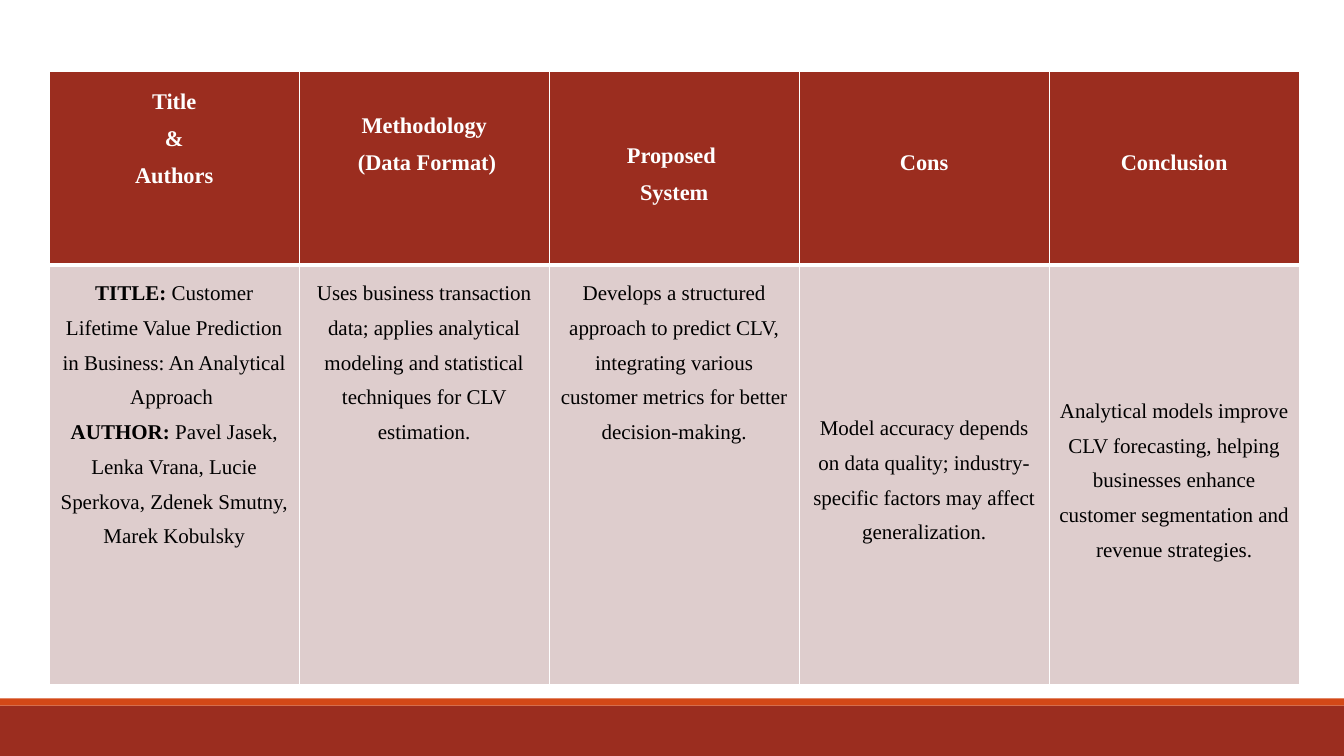
from lxml.etree import SubElement
from pptx import Presentation
from pptx.dml.color import RGBColor
from pptx.enum.shapes import MSO_SHAPE
from pptx.enum.text import MSO_ANCHOR, PP_ALIGN
from pptx.oxml.ns import qn
from pptx.util import Cm, Pt

BRICK = RGBColor(0x9B, 0x2D, 0x1F)
ORANGE = RGBColor(0xD3, 0x48, 0x17)
ROSE = RGBColor(0xDE, 0xCD, 0xCD)
WHITE = RGBColor(0xFF, 0xFF, 0xFF)
BLACK = RGBColor(0, 0, 0)

SLIDE_W, SLIDE_H = 33.87, 19.05
COLUMN_W = 6.3
ROW_HEIGHTS = (4.88, 10.57)
TOP, MIDDLE = MSO_ANCHOR.TOP, MSO_ANCHOR.MIDDLE
TOP_MARGIN = 0.13

# Each heading: lines, anchor, top margin in cm
HEADINGS = [
    (["Title", "&", "Authors"], TOP, TOP_MARGIN),
    (["Methodology", " (Data Format)"], TOP, 0.74),
    (["Proposed ", "System"], MIDDLE, TOP_MARGIN),
    (["Cons"], TOP, 1.69),
    (["Conclusion"], TOP, 1.69),
]

# Each review: paragraphs of (label, text), anchor
REVIEWS = [
    ([("TITLE: ", "Customer Lifetime Value Prediction in Business: "
       "An Analytical Approach "),
      ("AUTHOR: ", "Pavel Jasek, Lenka Vrana, Lucie Sperkova, "
       "Zdenek Smutny, Marek Kobulsky")], TOP),
    ([("", "Uses business transaction data; applies analytical modeling and "
       "statistical techniques for CLV estimation.")], TOP),
    ([("", "Develops a structured approach to predict CLV, integrating "
       "various customer metrics for better decision-making.")], TOP),
    ([("", "Model accuracy depends on data quality; industry-specific "
       "factors may affect generalization.")], MIDDLE),
    ([("", "Analytical models improve CLV forecasting, helping businesses "
       "enhance customer segmentation and revenue strategies.")], MIDDLE),
]


class SlideBuilder:
    font_name = "Times New Roman"
    line_spacing = 1.5

    def __init__(self, slide):
        self.slide = slide

    def bar(self, top, height, color):
        band = self.slide.shapes.add_shape(
            MSO_SHAPE.RECTANGLE, 0, Cm(top), Cm(SLIDE_W), Cm(height))
        band.shadow.inherit = False
        band.fill.solid()
        band.fill.fore_color.rgb = color
        band.line.fill.background()

    def table(self, left, top, column_count, column_width, row_heights):
        grid = self.slide.shapes.add_table(
            len(row_heights), column_count, Cm(left), Cm(top),
            Cm(column_width * column_count), Cm(sum(row_heights))).table
        grid.horz_banding = False
        for column in grid.columns:
            column.width = Cm(column_width)
        for row, height in zip(grid.rows, row_heights):
            row.height = Cm(height)
        return grid

    def cell(self, cell, paragraphs, size, color, fill, anchor, borders,
             top_margin=TOP_MARGIN):
        """Fill a cell; each paragraph is a list of (text, bold) runs."""
        cell.vertical_anchor = anchor
        cell.margin_top = Cm(top_margin)
        self.borders(cell, borders)
        cell.fill.solid()
        cell.fill.fore_color.rgb = fill
        frame = cell.text_frame
        for index, runs in enumerate(paragraphs):
            line = frame.add_paragraph() if index else frame.paragraphs[0]
            line.alignment = PP_ALIGN.CENTER
            line.line_spacing = self.line_spacing
            for text, bold in runs:
                run = line.add_run()
                run.text = text
                run.font.name = self.font_name
                run.font.size = Pt(size)
                run.font.bold = bold
                run.font.color.rgb = color

    def borders(self, cell, widths):
        properties = cell._tc.get_or_add_tcPr()
        for side, width in zip("LRTB", widths):
            edge = SubElement(properties, qn(f"a:ln{side}"), w=str(Pt(width)))
            paint = SubElement(edge, qn("a:solidFill"))
            SubElement(paint, qn("a:srgbClr"), val=str(WHITE))


def main():
    presentation = Presentation()
    presentation.slide_width = Cm(SLIDE_W)
    presentation.slide_height = Cm(SLIDE_H)
    blank = presentation.slide_layouts[6]
    builder = SlideBuilder(presentation.slides.add_slide(blank))

    # Footer bands
    builder.bar(17.78, 1.27, BRICK)
    builder.bar(17.6, 0.18, ORANGE)

    # Literature review table
    survey = builder.table(1.24, 1.8, len(HEADINGS), COLUMN_W, ROW_HEIGHTS)
    for column, (lines, anchor, top_margin) in enumerate(HEADINGS):
        builder.cell(survey.cell(0, column), [[(line, True)] for line in lines],
                     16, WHITE, BRICK, anchor, (1, 1, 1, 3), top_margin)
    for column, (entries, anchor) in enumerate(REVIEWS):
        paragraphs = [[(text, bold) for text, bold in
                       ((label, True), (body, False)) if text]
                      for label, body in entries]
        builder.cell(survey.cell(1, column), paragraphs,
                     15, BLACK, ROSE, anchor, (1, 1, 3, 1))

    presentation.save("out.pptx")


if __name__ == "__main__":
    main()
